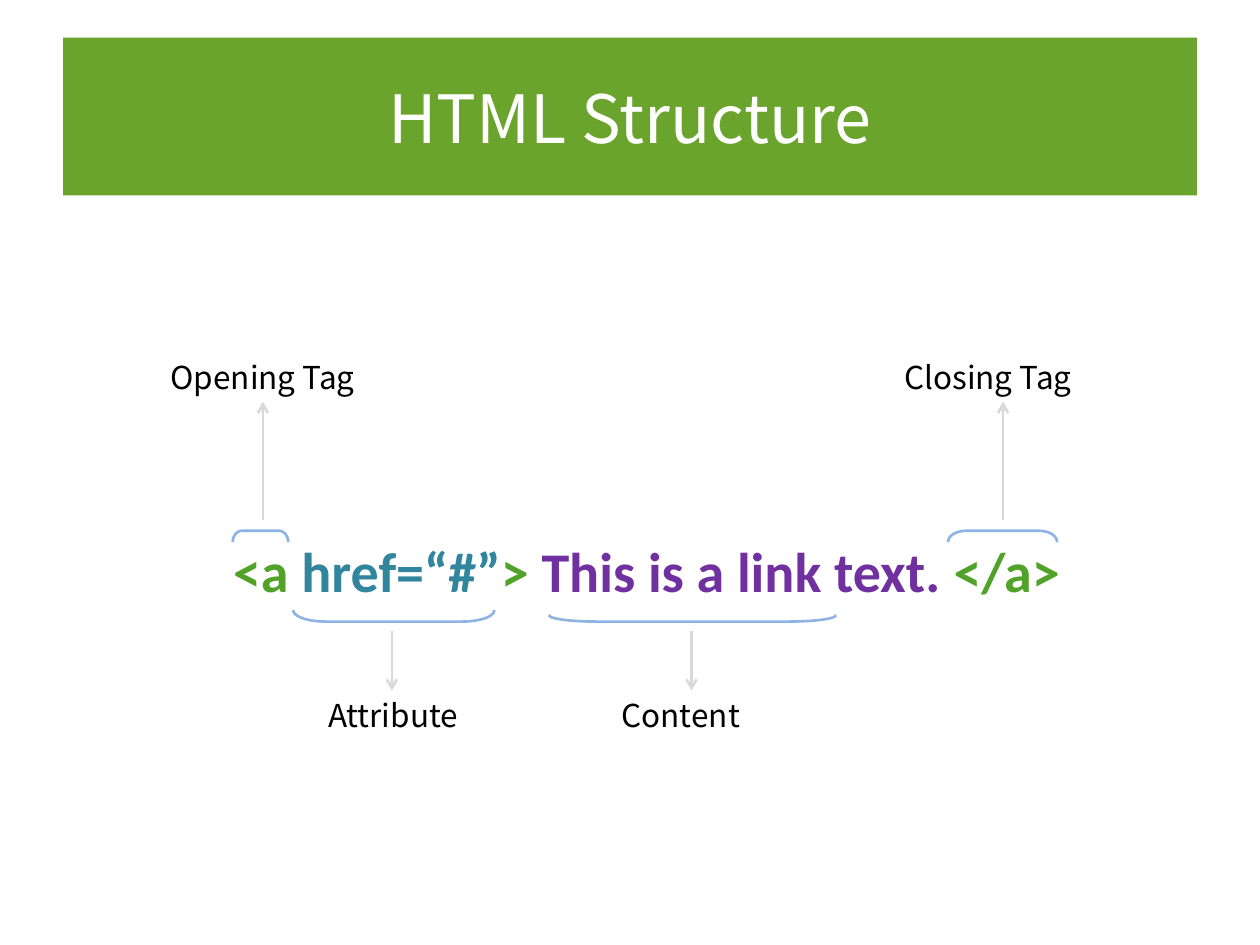
import pptx
import pptx.util
import pptx.dml.color
import pptx.enum.shapes
import pptx.enum.text
import pptx.oxml

Cm, Pt = pptx.util.Cm, pptx.util.Pt
SANS, MONO = "Noto Sans CJK SC", "Calibri"
GREEN, TEAL, PURPLE = "51A228", "31859C", "7030A0"

# Content
TITLE = "HTML Structure"
CODE = [("<a ", GREEN), ("href=“#”", TEAL), ("> ", GREEN),
        ("This is a link text. ", PURPLE), ("</a>", GREEN)]

# Rows in cm: label top, arrow start and end, bracket's outer edge, turn
ABOVE = dict(label=7.09, start=10.49, end=8.1, edge=10.7, turn=90)
BELOW = dict(label=13.91, start=12.73, end=13.92, edge=12.53, turn=270)

# Label, row, label left and width, arrow x, bracket centre, span, depth, curve
PARTS = [
    ("Opening Tag", ABOVE, 3.1, 4.39, 5.3, 5.25, 1.12, 0.23, 0.19),
    ("Closing Tag", ABOVE, 17.91, 4.01, 20.22, 20.21, 2.2, 0.23, 0.36),
    ("Attribute", BELOW, 6.3, 3.25, 7.9, 7.94, 4.06, 0.23, 0.65),
    ("Content", BELOW, 12.24, 2.97, 13.94, 13.96, 5.79, 0.13, 0.95),
]


def rgb(code):
    return pptx.dml.color.RGBColor.from_string(code)


def style(run, font, size, color, bold=False):
    run.font.name, run.font.size, run.font.bold = font, Pt(size), bold
    run.font.color.rgb = rgb(color)


def add_box(slide, left, top, width, height):
    box = slide.shapes.add_textbox(Cm(left), Cm(top), Cm(width), Cm(height))
    box.text_frame.word_wrap = False
    return box.text_frame.paragraphs[0]


def add_label(slide, text, left, top, width):
    para = add_box(slide, left, top, width, 1.02)
    para.text = text
    para.alignment = pptx.enum.text.PP_ALIGN.CENTER
    style(para.runs[0], SANS, 18, "000000")


def add_arrow(slide, x, start, end):
    line = slide.shapes.add_connector(
        pptx.enum.shapes.MSO_CONNECTOR.STRAIGHT,
        Cm(x), Cm(start), Cm(x), Cm(end))
    line.line.color.rgb = rgb("D9D9D9")
    line.line.width = Pt(1.5)
    ns = pptx.oxml.ns.qn
    tail = line.line._get_or_add_ln().makeelement(
        ns("a:tailEnd"), {"type": "arrow"})
    line.line._get_or_add_ln().append(tail)
    props = line._element.spPr
    props.append(props.makeelement(ns("a:effectLst"), {}))


def add_bracket(slide, mid, span, depth, curve, edge, turn):
    # The frame stands upright and is turned about its centre
    centre = edge + (depth / 2 if turn == 90 else -depth / 2)
    shape = slide.shapes.add_shape(
        pptx.enum.shapes.MSO_SHAPE.LEFT_BRACKET,
        Cm(mid - depth / 2), Cm(centre - span / 2), Cm(depth), Cm(span))
    shape.adjustments[0] = curve / depth
    shape.rotation = turn
    shape.shadow.inherit = False
    shape.fill.background()
    shape.line.color.rgb = rgb("8EB4E3")
    shape.line.width = Pt(1.5)


def main():
    deck = pptx.Presentation()
    deck.slide_width, deck.slide_height = Cm(25.4), Cm(19.05)
    slide = deck.slides.add_slide(deck.slide_layouts[5])

    # Title band
    title = slide.shapes.title
    title.left, title.top = Cm(1.27), Cm(0.76)
    title.width, title.height = Cm(22.86), Cm(3.18)
    title.fill.solid()
    title.fill.fore_color.rgb = rgb("6BA42C")
    title.text_frame.text = TITLE
    title.text_frame.vertical_anchor = pptx.enum.text.MSO_ANCHOR.MIDDLE
    para = title.text_frame.paragraphs[0]
    para.alignment = pptx.enum.text.PP_ALIGN.CENTER
    style(para.runs[0], SANS, 38, "FFFFFF")

    # Code line
    para = add_box(slide, 4.45, 10.69, 17.32, 1.63)
    for text, color in CODE:
        run = para.add_run()
        run.text = text
        style(run, MONO, 32, color, bold=True)

    # Brackets, arrows and labels
    for text, row, left, width, x, mid, span, depth, curve in PARTS:
        add_bracket(slide, mid, span, depth, curve, row["edge"], row["turn"])
        add_arrow(slide, x, row["start"], row["end"])
        add_label(slide, text, left, row["label"], width)

    deck.save("out.pptx")


if __name__ == "__main__":
    main()
